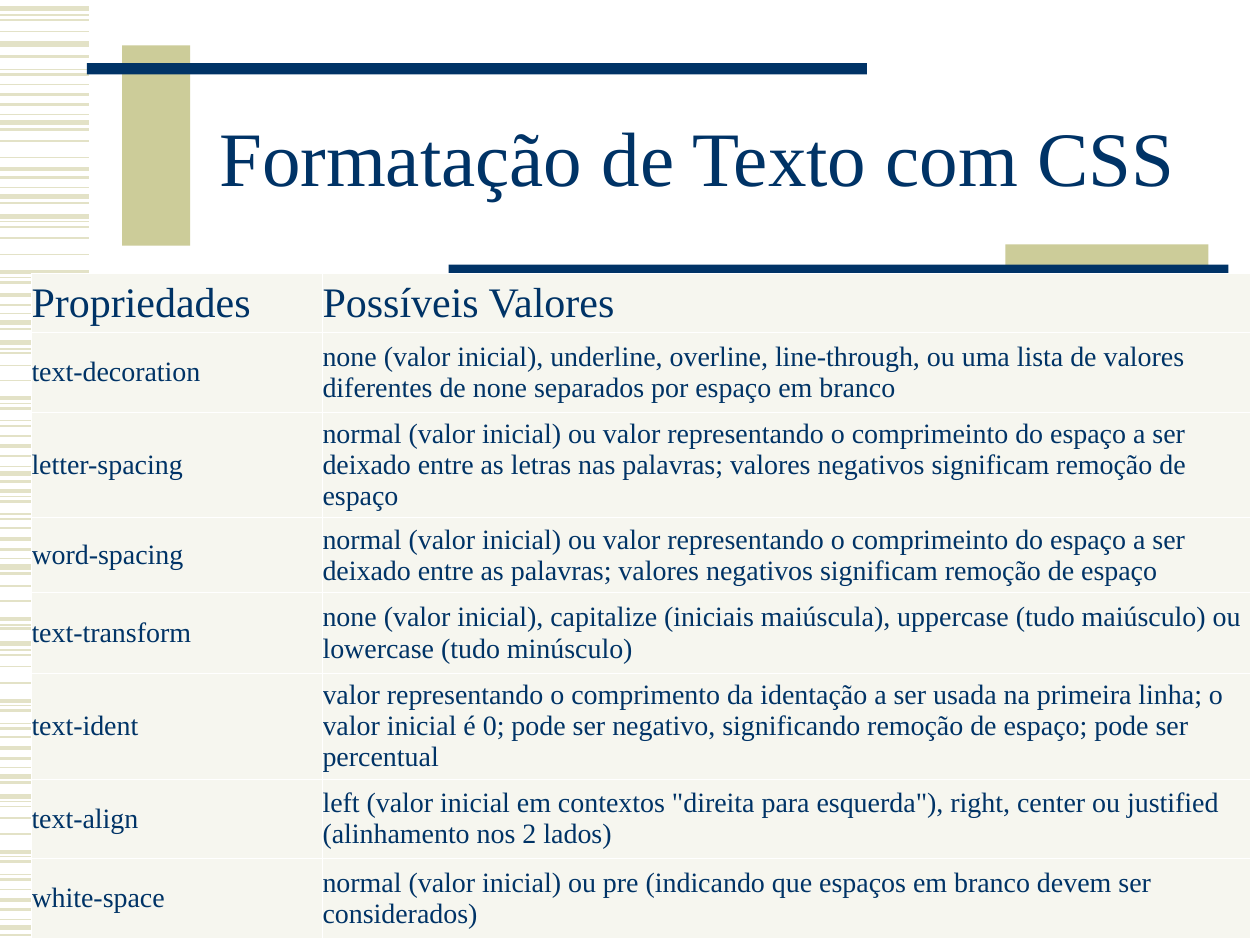
"""Build the slide about formatting text with CSS."""
from dataclasses import dataclass

from lxml.etree import SubElement
from pptx import Presentation
from pptx.dml.color import RGBColor as Color
from pptx.enum.shapes import MSO_CONNECTOR as Connector, MSO_SHAPE as Shape
from pptx.enum.text import MSO_ANCHOR as Anchor, MSO_AUTO_SIZE as AutoSize, PP_ALIGN as Align
from pptx.oxml.ns import qn
from pptx.util import Inches, Pt

WIDTH, HEIGHT = Inches(10), Inches(7.5)
COLUMN, ROW = WIDTH / 100, HEIGHT / 75


@dataclass(frozen=True)
class Theme:
    """Colours, font and sizes in points."""
    navy: str = "003366"
    khaki: str = "CCCC99"
    stripe: str = "E3E2C7"
    cell: str = "F6F6EF"
    border: str = "FFFFFF"
    font: str = "Times New Roman"
    title: int = 44
    header: int = 24
    body: int = 16
    border_width: float = 0.45


@dataclass(frozen=True)
class Area:
    """A rectangle in grid columns and rows."""
    left: float
    top: float
    width: float
    height: float

    def lengths(self) -> tuple:
        """Return left, top, width and height as slide lengths."""
        return (round(self.left * COLUMN), round(self.top * ROW),
                round(self.width * COLUMN), round(self.height * ROW))


@dataclass(frozen=True)
class Bar:
    """A filled decorative rectangle."""
    area: Area
    color: str


@dataclass(frozen=True)
class Entry:
    """A table row with its height in grid rows."""
    name: str
    values: str
    height: float


THEME = Theme()
STRIPE_WIDTH = 7.1
STRIPES = {
    0.75: (1.2, 5.5, 9.1, 14.9, 17.6, 22, 24.9, 27.7, 32, 33.4, 37, 39.4, 40.8, 44.3,
           49.6, 51.6, 56, 57.4, 60.9, 63.6, 68, 69.4, 73),
    1: (1.6, 2.5, 6.7, 11.2, 12.5, 18, 18.9, 20.2, 28, 29, 30.2, 34.6, 41.9, 46.5,
        47.7, 52, 52.9, 54.2, 58.5, 64, 64.9, 66.2, 70.6),
    1.5: (4.5, 5.9, 8.3, 10.3, 14.1, 16.1, 22.4, 24.2, 26.1, 32.4, 33.8, 36.2, 38.2,
          39.8, 41.2, 43.6, 45.5, 49.9, 56.4, 57.8, 60.2, 62.1, 68.4, 69.8, 72.2, 74.2),
    2.25: (7.5, 13.4, 21.6, 23.4, 31.6, 35.4, 39, 42.8, 49.1, 55.6, 59.4, 67.6, 71.4),
    3: (0.7, 3.5, 9.7, 15.6, 17.2, 25.6, 27.2, 37.6, 45, 51.1, 61.6, 63.2, 73.6),
}
BARS = (
    Bar(Area(9.7, 3.6, 5.4, 15.9), THEME.khaki),
    Bar(Area(6.9, 5, 61.9, 0.9), THEME.navy),
    Bar(Area(79.8, 19.4, 16.1, 3.7), THEME.khaki),
    Bar(Area(35.6, 21, 61.9, 0.9), THEME.navy),
)
TITLE_AREA = Area(15, 6.7, 80.7, 12.5)
TABLE_AREA = Area(2.5, 21.7, 96.7, 51.5)
TABLE_COLUMNS = (23.1, 73.6)
ENTRIES = (
    Entry("Propriedades", "Possíveis Valores", 4.2),
    Entry("text-decoration", "none (valor inicial), underline, overline, line-through, ou uma "
          "lista de valores diferentes de none separados por espaço em branco", 6.3),
    Entry("letter-spacing", "normal (valor inicial) ou valor representando o comprimeinto do "
          "espaço a ser deixado entre as letras nas palavras; valores negativos significam "
          "remoção de espaço", 8),
    Entry("word-spacing", "normal (valor inicial) ou valor representando o comprimeinto do "
          "espaço a ser deixado entre as palavras; valores negativos significam remoção de "
          "espaço", 5.8),
    Entry("text-transform", "none (valor inicial), capitalize (iniciais maiúscula), uppercase "
          "(tudo maiúsculo) ou lowercase (tudo minúsculo)", 6.4),
    Entry("text-ident", "valor representando o comprimento da identação a ser usada na primeira "
          "linha; o valor inicial é 0; pode ser negativo, significando remoção de espaço; pode "
          "ser percentual", 8.1),
    Entry("text-align", "left (valor inicial em contextos \"direita para esquerda\"), right, "
          "center ou justified (alinhamento nos 2 lados)", 6.3),
    Entry("white-space", "normal (valor inicial) ou pre (indicando que espaços em branco devem "
          "ser considerados)", 6.3),
)


def write_text(frame, text: str, *, size: int, align=Align.LEFT, spacing: float = 1.0) -> None:
    """Write one formatted paragraph into a text frame."""
    frame.word_wrap = True
    para = frame.paragraphs[0]
    para.alignment, para.line_spacing = align, spacing
    span = para.add_run()
    span.text = text
    span.font.name, span.font.size, span.font.bold = THEME.font, Pt(size), False
    span.font.color.rgb = Color.from_string(THEME.navy)


def draw_stripes(page) -> None:
    """Draw the striped left margin as one group."""
    group = page.shapes.add_group_shape()
    right = round(STRIPE_WIDTH * COLUMN)
    for weight, rows in STRIPES.items():
        for row in rows:
            top = round(row * ROW)
            stripe = group.shapes.add_connector(Connector.STRAIGHT, 0, top, right, top)
            stripe.line.color.rgb = Color.from_string(THEME.stripe)
            stripe.line.width = Pt(weight)
            SubElement(stripe.element.spPr, qn("a:effectLst"))


def draw_bar(page, bar: Bar) -> None:
    """Draw a borderless filled rectangle."""
    box = page.shapes.add_shape(Shape.RECTANGLE, *bar.area.lengths())
    box.shadow.inherit = False
    box.fill.solid()
    box.fill.fore_color.rgb = Color.from_string(bar.color)
    box.line.fill.background()


def draw_title(page, text: str) -> None:
    """Place and format the title placeholder."""
    title = page.shapes.title
    title.left, title.top, title.width, title.height = TITLE_AREA.lengths()
    title.text_frame.auto_size = AutoSize.NONE
    title.text_frame.vertical_anchor = Anchor.MIDDLE
    write_text(title.text_frame, text, size=THEME.title, align=Align.CENTER, spacing=0.85)


def add_borders(cell) -> None:
    """Give a cell a thin border on every side, ahead of its fill."""
    properties = cell._tc.get_or_add_tcPr()
    for index, side in enumerate(("a:lnL", "a:lnR", "a:lnT", "a:lnB")):
        line = SubElement(properties, qn(side), w=str(Pt(THEME.border_width)))
        fill = SubElement(line, qn("a:solidFill"))
        SubElement(fill, qn("a:srgbClr"), val=THEME.border)
        properties.insert(index, line)


def fill_cell(cell, text: str, size: int, anchor) -> None:
    """Write and format one table cell."""
    cell.margin_left = cell.margin_right = 0
    cell.margin_top = cell.margin_bottom = Inches(0.05)
    cell.vertical_anchor = anchor
    cell.fill.solid()
    cell.fill.fore_color.rgb = Color.from_string(THEME.cell)
    add_borders(cell)
    write_text(cell.text_frame, text, size=size)


def draw_table(page) -> None:
    """Draw the table of properties and their values."""
    table = page.shapes.add_table(len(ENTRIES), len(TABLE_COLUMNS), *TABLE_AREA.lengths()).table
    table.first_row = table.horz_banding = False
    for column, width in zip(table.columns, TABLE_COLUMNS):
        column.width = round(width * COLUMN)
    for index, entry in enumerate(ENTRIES):
        table.rows[index].height = round(entry.height * ROW)
        size = THEME.body if index else THEME.header
        name_anchor = Anchor.MIDDLE if index else Anchor.BOTTOM
        fill_cell(table.cell(index, 0), entry.name, size, name_anchor)
        fill_cell(table.cell(index, 1), entry.values, size, Anchor.MIDDLE)


def main() -> None:
    """Build and save the deck."""
    deck = Presentation()
    deck.slide_width, deck.slide_height = WIDTH, HEIGHT
    page = deck.slides.add_slide(deck.slide_layouts.get_by_name("Title Only"))
    draw_stripes(page)
    for bar in BARS:
        draw_bar(page, bar)
    draw_title(page, "Formatação de Texto com CSS")
    draw_table(page)
    deck.save("out.pptx")


if __name__ == "__main__":
    main()
